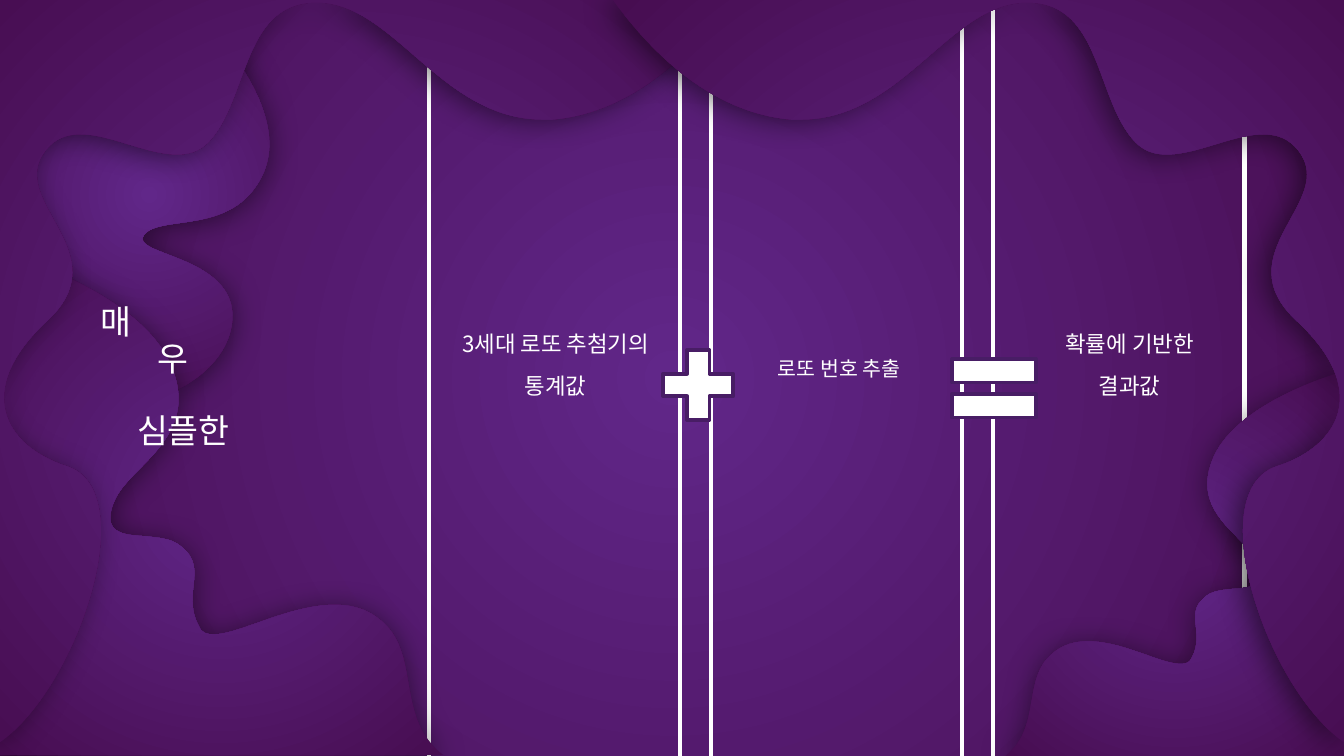
from lxml.etree import SubElement
from pptx import Presentation
from pptx.dml.color import RGBColor
from pptx.enum.shapes import MSO_SHAPE
from pptx.enum.text import MSO_ANCHOR, PP_ALIGN
from pptx.oxml.ns import qn
from pptx.util import Inches, Pt

WIDTH = 10
HEIGHT = WIDTH * 9 / 16
FONT = "Noto Sans CJK KR"
WHITE, VIOLET, PLUM, OUTLINE = "FFFFFF", "612789", "470D51", "481D65"
COLUMN_LEFT, COLUMN_STEP, COLUMN_WIDTH = 3.19, 2.1, 1.87

# Outlines: the first pair is the start, then pairs are lines and sixes are curves
RIBBON = [
    (1.12, 0), (0.31, 0.5), (0.04, 1.78),
    (0.04, 1.78, 0.05, 1.83, 0.08, 1.9), (0.38, 2, 1.05, 2.25, 1.26, 2.69),
    (1.29, 2.76, 1.31, 2.83, 1.32, 2.9), (1.54, 2.79, 1.72, 2.6, 1.73, 2.37),
    (1.75, 1.9, 0.96, 1.9, 1.07, 1.75), (1.19, 1.59, 1.73, 1.76, 1.95, 1.31),
    (2.18, 0.85, 1.62, 0.23, 1.38, 0),
]
LOWER_WAVE = [
    (-0.01, 1.87), (-0.01, 5.62), (3.3, 5.62),
    (2.94, 5.35, 3.13, 4.88, 2.85, 4.63), (2.74, 4.53, 2.62, 4.5, 2.49, 4.5),
    (2.15, 4.5, 1.78, 4.72, 1.59, 4.72), (1.54, 4.72, 1.5, 4.71, 1.48, 4.66),
    (1.34, 4.4, 1.58, 4.21, 1.31, 4.04), (1.26, 4.01, 1.18, 4, 1.08, 3.99),
    (0.92, 3.98, 0.75, 3.97, 0.85, 3.73), (0.96, 3.46, 1.52, 3.25, 1.26, 2.69),
    (1.03, 2.21, 0.23, 1.94, -0.01, 1.87),
]
UPPER_WAVE = [
    (-0.01, 0), (-0.01, 5.53),
    (0.57, 5.14, 1.07, 3.66, 0.5, 3.47), (0.03, 3.32, -0.2, 2.9, 0.35, 2.39),
    (0.9, 1.88, 0.04, 1.5, 0.34, 1.12), (0.41, 1.03, 0.5, 1, 0.6, 1),
    (0.82, 1, 1.09, 1.15, 1.32, 1.15), (1.4, 1.15, 1.48, 1.13, 1.55, 1.06),
    (1.85, 0.75, 1.8, 0.02, 2.35, 0.02), (2.36, 0.02, 2.37, 0.02, 2.38, 0.02),
    (2.94, 0.04, 3.29, 0.89, 4.04, 0.89), (4.06, 0.89, 4.09, 0.89, 4.11, 0.89),
    (4.72, 0.84, 5.17, 0.37, 5.44, 0),
]


def color(value):
    return RGBColor.from_string(value)


def fill_radial(fill, element):
    """Fill with a circular gradient, violet in the centre."""
    fill.gradient()
    for stop, value in zip(fill.gradient_stops, (VIOLET, PLUM)):
        stop.color.rgb = color(value)
    gradient = element.xpath(".//a:gradFill")[0]
    gradient.remove(gradient.find(qn("a:lin")))
    circle = SubElement(gradient, qn("a:path"), path="circle")
    SubElement(circle, qn("a:fillToRect"), l="50000", t="50000", r="50000", b="50000")


def add_shadow(shape, distance, angle):
    shape.shadow.inherit = False
    effects = shape.element.spPr.find(qn("a:effectLst"))
    outer = SubElement(effects, qn("a:outerShdw"), blurRad=str(Pt(15.8)),
                       dist=str(Pt(distance)), dir=str(angle * 60000),
                       algn="t", rotWithShape="0")
    black = SubElement(outer, qn("a:srgbClr"), val="000000")
    SubElement(black, qn("a:alpha"), val="50000")


def mirror(outline, scale=1, top=0):
    """Flip an outline to the right edge, scaled about its upper end."""
    first_y = outline[0][1]
    return [tuple(top + (value - first_y) * scale if index % 2
                  else WIDTH - value * scale
                  for index, value in enumerate(segment))
            for segment in outline]


def add_wave(slide, outline, distance=1.5, angle=90):
    start, *segments = outline
    points = [(Inches(segment[i]), Inches(segment[i + 1]))
              for segment in segments for i in range(0, len(segment), 2)]
    builder = slide.shapes.build_freeform(Inches(start[0]), Inches(start[1]))
    builder.add_line_segments(points, close=True)
    shape = builder.convert_to_shape()
    # Join each three points of a curve into one Bezier segment
    lines = iter(shape.element.xpath(".//a:lnTo"))
    for segment in segments:
        line = next(lines)
        if len(segment) == 6:
            line.addprevious(curve := SubElement(line.getparent(), qn("a:cubicBezTo")))
            for part in (line, next(lines), next(lines)):
                curve.append(part[0])
                part.getparent().remove(part)
    fill_radial(shape.fill, shape.element)
    shape.line.fill.background()
    add_shadow(shape, distance, angle)


def add_preset(slide, kind, area, line, weight, fill=None):
    shape = slide.shapes.add_shape(kind, *map(Inches, area))
    shape.shadow.inherit = False
    if fill:
        shape.fill.solid()
        shape.fill.fore_color.rgb = color(fill)
    else:
        shape.fill.background()
    shape.line.color.rgb = color(line)
    shape.line.width = Pt(weight)


def add_text(slide, area, lines, size, align=PP_ALIGN.CENTER, before=8):
    frame = slide.shapes.add_textbox(*map(Inches, area)).text_frame
    frame.word_wrap = True
    frame.margin_left = frame.margin_right = Inches(0.07)
    frame.margin_top = frame.margin_bottom = Inches(0.04)
    frame.text = "\n".join(lines)
    for para in frame.paragraphs:
        para.alignment = align
        para.space_before = Pt(before)
        para.font.size = Pt(size)
        para.font.name = FONT
        para.font.color.rgb = color(WHITE)
        SubElement(para.font._element, qn("a:ea"), typeface=FONT)
    return frame


def add_title(slide):
    frame = add_text(slide, (0.67, 1.79, 1.73, 2.05), ["매", "우", "심플한"], 18,
                     PP_ALIGN.LEFT, 0)
    frame.vertical_anchor = MSO_ANCHOR.MIDDLE
    for para, indent in zip(frame.paragraphs, (0.01, 0.43, 0.28)):
        para.line_spacing = 0.9
        para._p.get_or_add_pPr().set("marL", str(Inches(indent)))
    frame.paragraphs[-1].space_before = Pt(19.5)


def main():
    deck = Presentation()
    deck.slide_width, deck.slide_height = Inches(WIDTH), Inches(HEIGHT)
    slide = deck.slides.add_slide(deck.slide_layouts[6])
    fill_radial(slide.background.fill, slide.element)

    # Column frames, slightly taller than the page
    for column in range(3):
        left = COLUMN_LEFT + column * COLUMN_STEP
        add_preset(slide, MSO_SHAPE.RECTANGLE, (left, -0.04, COLUMN_WIDTH, HEIGHT + 0.08),
                   WHITE, 2.25)

    # Layered waves on both sides
    add_wave(slide, RIBBON)
    add_wave(slide, LOWER_WAVE)
    add_wave(slide, UPPER_WAVE, 3.8, 157)
    add_wave(slide, mirror(LOWER_WAVE, 0.765, 2.76))
    add_wave(slide, mirror(UPPER_WAVE), 3.8, 157)

    # Title, terms of the sum and its signs
    add_title(slide)
    add_text(slide, (3.27, 2.42, 1.73, 0.8), ["3세대 로또 추첨기의", "통계값"], 12)
    add_text(slide, (7.63, 2.42, 1.55, 0.8), ["확률에 기반한", "결과값"], 12)
    add_preset(slide, MSO_SHAPE.MATH_PLUS, (4.84, 2.51, 0.71, 0.71), OUTLINE, 2, WHITE)
    add_preset(slide, MSO_SHAPE.MATH_EQUAL, (6.97, 2.52, 0.85, 0.74), OUTLINE, 2, WHITE)
    add_text(slide, (5.47, 2.61, 1.55, 0.55), ["로또 번호 추출"], 11)

    deck.save("out.pptx")


if __name__ == "__main__":
    main()
